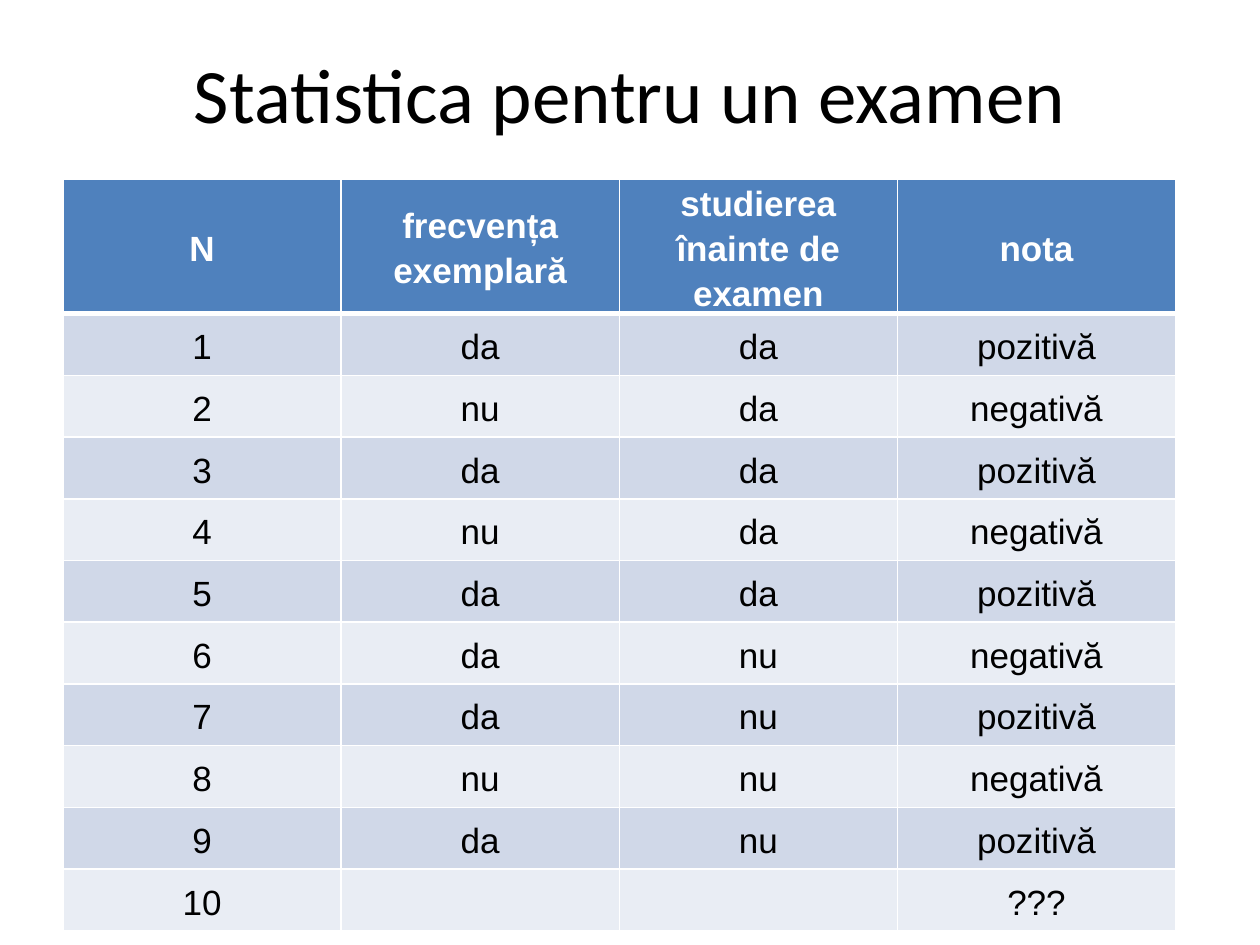
from pptx import Presentation
from pptx.dml.color import RGBColor as Rgb
from pptx.enum.text import MSO_ANCHOR as Anchor, PP_ALIGN as Align
from pptx.oxml.ns import qn
from pptx.util import Inches, Pt
from lxml.etree import SubElement as Sub

WIDE, HIGH = Inches(10), Inches(7.5)
HEAD = ["N", "frecvența exemplară", "studierea înainte de examen", "nota"]
MARKS = [
    ("da", "da", "pozitivă"),
    ("nu", "da", "negativă"),
    ("da", "da", "pozitivă"),
    ("nu", "da", "negativă"),
    ("da", "da", "pozitivă"),
    ("da", "nu", "negativă"),
    ("da", "nu", "pozitivă"),
    ("nu", "nu", "negativă"),
    ("da", "nu", "pozitivă"),
    ("", "", "???"),
]
BANDS = ["D0D8E8", "E9EDF4"]
CELL = dict(vertical_anchor=Anchor.MIDDLE, margin_left=Inches(0.07),
            margin_right=Inches(0.07), margin_top=0, margin_bottom=0)
PARA = dict(alignment=Align.CENTER, line_spacing=1.15, space_after=Pt(10))


def hue(code):
    return Rgb.from_string(code)


def style(item, form):
    for name, value in form.items():
        setattr(item, name, value)


def write(para, text, color, **form):
    run = para.add_run()
    run.text = text
    style(run.font, form)
    run.font.color.rgb = hue(color)


def edge(cell, **sides):
    """Draw white borders; sides maps L, R, T, B to widths in points."""
    props = cell._tc.get_or_add_tcPr()
    for side, width in sides.items():
        line = Sub(props, qn("a:ln" + side), w=str(Pt(width)))
        fill = Sub(line, qn("a:solidFill"))
        Sub(fill, qn("a:srgbClr"), val="FFFFFF")


def title(slide, box, text):
    shape = slide.shapes.title
    style(shape, dict(zip(("left", "top", "width", "height"), box)))
    frame = shape.text_frame
    style(frame, dict(vertical_anchor=Anchor.MIDDLE, word_wrap=True))
    para = frame.paragraphs[0]
    para.alignment = Align.CENTER
    write(para, text, "000000", name="Calibri", size=Pt(44))


def grid(slide, box, rows):
    frame = slide.shapes.add_table(len(rows), len(rows[0]), *box)
    table = frame.table
    for r, row in enumerate(rows):
        top = r == 0
        table.rows[r].height = Inches(0.55 if top else 0.49)
        for c, text in enumerate(row):
            cell = table.cell(r, c)
            style(cell, CELL)
            edge(cell, L=1, R=1, T=3 if r == 1 else 1, B=3 if top else 1)
            cell.fill.solid()
            cell.fill.fore_color.rgb = hue("4F81BD" if top else BANDS[(r - 1) % 2])
            para = cell.text_frame.paragraphs[0]
            style(para, PARA)
            if text:
                write(para, text, "FFFFFF" if top else "000000",
                      name="Arial", size=Pt(20), bold=top)
    frame.height = box[3]  # the header row grows with its text


def main():
    deck = Presentation()
    style(deck, dict(slide_width=WIDE, slide_height=HIGH))
    slide = deck.slides.add_slide(deck.slide_layouts[5])
    left = int(WIDE * 0.05)

    # Heading
    title(slide, (left, int(HIGH * 0.04), int(WIDE * 0.9), Inches(0.87)),
          "Statistica pentru un examen")

    # Exam results
    rows = [HEAD] + [(str(n), *mark) for n, mark in enumerate(MARKS, 1)]
    grid(slide, (left, Inches(1.42), Inches(8.83), int(HIGH * 0.8)), rows)
    deck.save("out.pptx")


if __name__ == "__main__":
    main()
